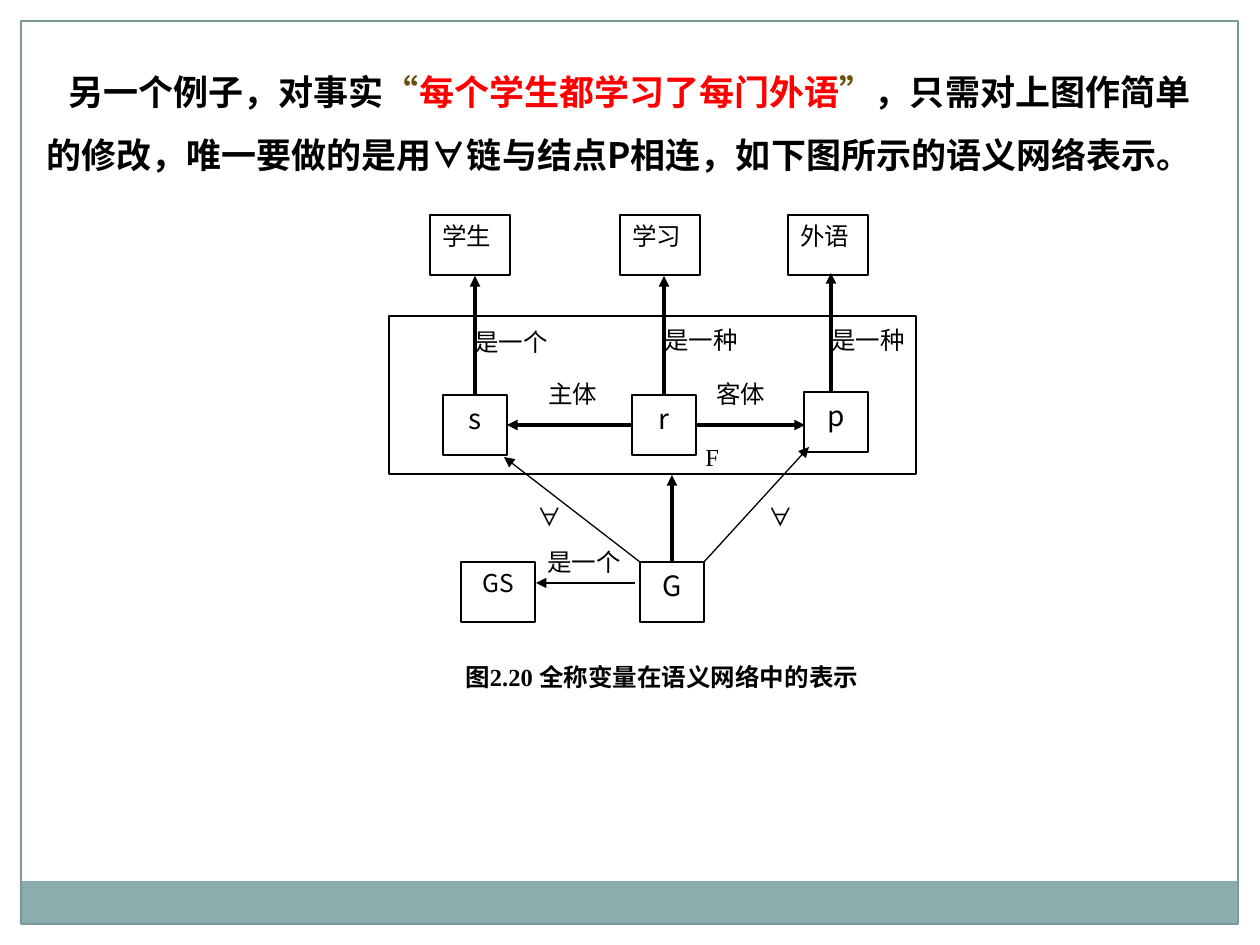
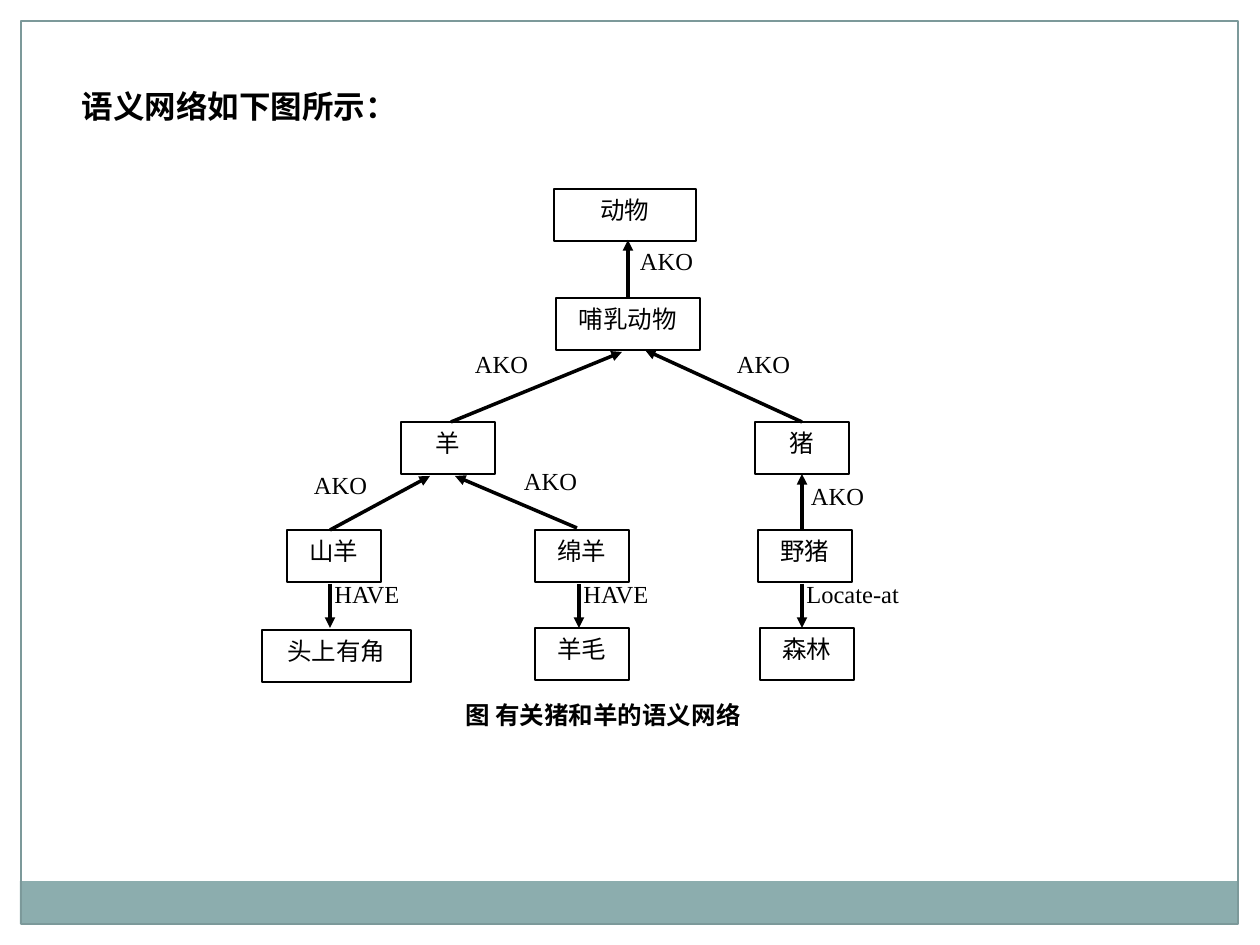
from lxml.etree import SubElement
from pptx import Presentation
from pptx.dml.color import RGBColor
from pptx.enum.shapes import MSO_CONNECTOR as LINE, MSO_SHAPE as SHAPE
from pptx.enum.text import MSO_ANCHOR as ANCHOR, MSO_AUTO_SIZE as AUTO, PP_ALIGN as ALIGN
from pptx.oxml.ns import qn
from pptx.util import Pt

SCALE = 914400 / 126
SANS, SERIF = "Noto Sans CJK SC", "Times New Roman"
LEFT, CENTER = ALIGN.LEFT, ALIGN.CENTER
BLACK, WHITE, RED, OLIVE = "000000", "FFFFFF", "FF0000", "694F07"
BAND, FRAME = "8CADAE", "7C999A"
color = RGBColor.from_string


def px(*lengths):
    return [round(length * SCALE) for length in lengths]


def write(shape, text, font, size, align=LEFT, bold=False):
    frame = shape.text_frame
    frame.word_wrap = True
    frame.auto_size = AUTO.NONE
    frame.vertical_anchor = ANCHOR.TOP
    para = frame.paragraphs[0]
    para.alignment = align
    para.font.name = font
    para.font.size = Pt(size)
    para.font.bold = bold
    para.font.color.rgb = color(BLACK)
    SubElement(para.font._element, qn("a:ea")).set("typeface", SANS)
    if text:
        para.add_run().text = text
    return para


deck = Presentation()
deck.slide_width, deck.slide_height = px(1260, 945)
title_only, blank = deck.slide_layouts[5], deck.slide_layouts[6]
variable_page = deck.slides.add_slide(blank)
animal_page = deck.slides.add_slide(title_only)

for page in deck.slides:
    band = page.shapes.add_shape(SHAPE.RECTANGLE, *px(20, 881, 1217, 43))
    band.fill.solid()
    band.fill.fore_color.rgb = color(BAND)
    band.line.fill.background()
    border = page.shapes.add_shape(SHAPE.RECTANGLE, *px(21, 21, 1217, 903))
    border.fill.background()
    border.line.color.rgb = color(FRAME)
    border.line.width = Pt(0.75)
    for shape in (band, border):
        shape.shadow.inherit = False

intro = variable_page.shapes.add_textbox(*px(34, 43, 1184, 200))
para = write(intro, "", SANS, 20, bold=True)
para.line_spacing = 1.5
para._p.get_or_add_pPr().set("indent", str(px(22)[0]))
for text, font, ink in [
    ("另一个例子，对事实", SANS, BLACK),
    ("“", "Arial", OLIVE),
    ("每个学生都学习了每门外语", SANS, RED),
    ("”", "Arial", OLIVE),
    ("，只需对上图作简单的修改，唯一要做的是用∀链与结点P相连，如下图所示的语义网络表示。", SANS, BLACK),
]:
    span = para.add_run()
    span.text = text
    span.font.name = font
    span.font.color.rgb = color(ink)

title = animal_page.shapes.title
title.left, title.top, title.width, title.height = px(69, 81, 355, 50)
write(title, "语义网络如下图所示：", "Roboto", 18, bold=True)
title.text_frame.word_wrap = False

variable_nodes = [("", 389, 316, 527, 158, 14, LEFT)]
variable_nodes += [(name, x, 215, 80, 60, 14, LEFT)
                   for name, x in [("学生", 430), ("学习", 620), ("外语", 788)]]
variable_nodes += [("GS", 461, 562, 74, 60, 14, CENTER)]
variable_nodes += [(name, x, y, 64, 60, 16, CENTER)
                   for name, x, y in [("s", 443, 395), ("r", 632, 395),
                                      ("p", 804, 392), ("G", 640, 562)]]
variable_links = [
    (("s", 0), (475, 276), 0),
    (("r", 0), (664, 276), 0),
    ((831, 392), (831, 273), 0),
    (("r", 1), ("s", 3), 0),
    (("r", 3), (805, 425), 0),
    (("G", 0), (672, 475), 0),
    ((635, 583), (536, 583), 0.75),
    ((640, 562), (504, 457), 0.75),
    ((704, 562), (809, 447), 0.75),
]
variable_labels = [(text, x, y, 106, 60, SANS, LEFT)
                   for text, x, y in [("是一个", 462, 321), ("是一种", 652, 319),
                                      ("是一种", 819, 319), ("主体", 536, 373),
                                      ("客体", 704, 373), ("是一个", 535, 541),
                                      ("∀", 525, 496), ("∀", 756, 496)]]
variable_labels += [("F", 693, 436, 53, 60, SERIF, LEFT)]

animal_nodes = [(name, x, y, width, 52, 14, CENTER)
                for name, x, y, width in [("动物", 554, 189, 142), ("哺乳动物", 556, 298, 144),
                                          ("头上有角", 262, 630, 149)]]
animal_nodes += [(name, x, y, 94, 52, 14, CENTER)
                 for name, x, y in [("羊", 401, 422), ("猪", 755, 422),
                                    ("山羊", 287, 530), ("绵羊", 535, 530), ("野猪", 758, 530),
                                    ("羊毛", 535, 628), ("森林", 760, 628)]]
animal_links = [
    (("哺乳动物", 0), (628, 240), 0),
    ((451, 422), (622, 352), 0),
    (("猪", 0), (645, 350), 0),
    ((330, 530), (430, 476), 0),
    ((577, 528), (455, 476), 0),
    ((802, 530), ("猪", 2), 0),
]
animal_links += [((x, 584), (x, 628), 0) for x in (330, 579, 802)]
animal_labels = [("AKO", x, y, 93, 52, SERIF, CENTER)
                 for x, y in [(620, 240), (717, 343), (455, 343),
                              (504, 460), (294, 464), (791, 475)]]
animal_labels += [(text, x, 573, 154, 52, SERIF, LEFT)
                  for text, x in [("HAVE", 322), ("HAVE", 571), ("Locate-at", 794)]]

for page, node_font, nodes, links, labels, caption, caption_place in [
    (variable_page, SANS, variable_nodes, variable_links, variable_labels,
     "图2.20 全称变量在语义网络中的表示", (378, 656, 568, 60)),
    (animal_page, SERIF, animal_nodes, animal_links, animal_labels,
     "图 有关猪和羊的语义网络", (355, 694, 496, 66)),
]:
    boxes = {}
    for name, x, y, width, height, size, align in nodes:
        box = page.shapes.add_shape(SHAPE.RECTANGLE, *px(x, y, width, height))
        box.shadow.inherit = False
        box.fill.solid()
        box.fill.fore_color.rgb = color(WHITE)
        box.line.color.rgb = color(BLACK)
        box.line.width = Pt(0)
        if name:
            write(box, name, node_font, size, align)
        boxes[name] = box

    for start, end, weight in links:
        begin_point = (0, 0) if start[0] in boxes else start
        end_point = (0, 0) if end[0] in boxes else end
        arrow = page.shapes.add_connector(LINE.STRAIGHT, *px(*begin_point, *end_point))
        if start[0] in boxes:
            arrow.begin_connect(boxes[start[0]], start[1])
        if end[0] in boxes:
            arrow.end_connect(boxes[end[0]], end[1])
        arrow.line.color.rgb = color(BLACK)
        arrow.line.width = Pt(weight)
        SubElement(arrow.line._get_or_add_ln(), qn("a:tailEnd")).set("type", "triangle")
        SubElement(arrow._element.spPr, qn("a:effectLst"))

    for text, x, y, width, height, font, align in labels:
        label = page.shapes.add_textbox(*px(x, y, width, height))
        write(label, text, font, 14, align)

    write(page.shapes.add_textbox(*px(*caption_place)), caption, SERIF, 14, CENTER, True)

deck.save("out.pptx")
